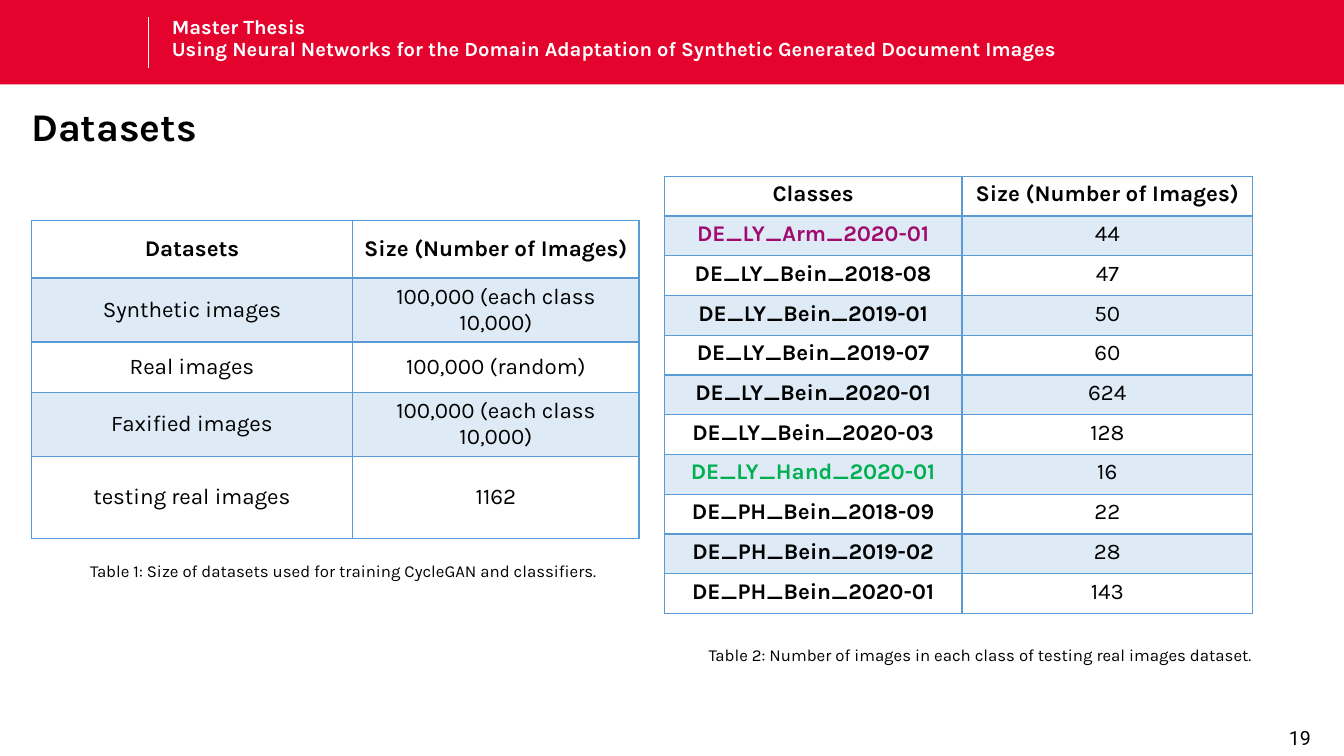
import pptx
import pptx.dml.color
import pptx.enum.shapes
import pptx.enum.text
import pptx.oxml
import pptx.oxml.ns
import pptx.util

Pt = pptx.util.Pt
RGB = pptx.dml.color.RGBColor.from_string
ALIGN = pptx.enum.text.PP_ALIGN
ANCHOR = pptx.enum.text.MSO_ANCHOR
NS = pptx.oxml.ns.nsdecls("a")

COLORS = {
    "red": "E4032D",
    "white": "FFFFFF",
    "black": "000000",
    "blue": "5B9BD5",
    "purple": "A10B70",
    "green": "00B050",
}


def add_run(paragraph, text, size, bold=False, color="black", font="Karla"):
    run = paragraph.add_run()
    run.text = text
    run.font.name = font
    run.font.size = Pt(size)
    run.font.bold = bold
    run.font.color.rgb = RGB(COLORS[color])


def style_cell(cell, row):
    """Draw the blue grid, heavier under the header row, and tint odd rows."""
    properties = cell._tc.get_or_add_tcPr()
    widths = {"L": 1, "R": 1, "T": 2 if row == 1 else 1, "B": 2 if row == 0 else 1}
    for side, width in widths.items():
        properties.append(pptx.oxml.parse_xml(
            f'<a:ln{side} {NS} w="{Pt(width)}"><a:solidFill>'
            f'<a:srgbClr val="{COLORS["blue"]}"/></a:solidFill></a:ln{side}>'))
    if row % 2:
        cell.fill.solid()
        cell.fill.fore_color.rgb = RGB(COLORS["blue"])
        tint = properties.find(".//" + pptx.oxml.ns.qn("a:solidFill") + "[last()]")
        tint = properties.findall(pptx.oxml.ns.qn("a:solidFill"))[0][0]
        tint.append(pptx.oxml.parse_xml(f'<a:alpha {NS} val="20000"/>'))
    else:
        cell.fill.background()


presentation = pptx.Presentation()
presentation.slide_width = Pt(960)
presentation.slide_height = Pt(540)
slide = presentation.slides.add_slide(presentation.slide_layouts[5])
shapes = slide.shapes

# Red header with the thesis title
thesis = shapes.title
banner = shapes.add_shape(pptx.enum.shapes.MSO_SHAPE.RECTANGLE, 0, 0, Pt(960), Pt(60.3))
banner.shadow.inherit = False
banner.fill.solid()
banner.fill.fore_color.rgb = RGB(COLORS["red"])
banner.line.fill.background()
thesis.element.addprevious(banner.element)

divider = shapes.add_connector(
    pptx.enum.shapes.MSO_CONNECTOR.STRAIGHT, Pt(106), Pt(12.2), Pt(106), Pt(48.8))
divider.line.color.rgb = RGB(COLORS["white"])
divider.line.width = Pt(0.5)
divider.element.spPr.append(pptx.oxml.parse_xml(f"<a:effectLst {NS}/>"))

thesis.left, thesis.top, thesis.width, thesis.height = Pt(122.7), Pt(12.2), Pt(822), Pt(36.7)
thesis_frame = thesis.text_frame
thesis_frame.auto_size = pptx.enum.text.MSO_AUTO_SIZE.NONE
thesis_line = thesis_frame.paragraphs[0]
add_run(thesis_line, "Master Thesis", 14.4, True, "white")
thesis_line.add_line_break()
add_run(thesis_line, "Using Neural Networks for the Domain Adaptation of "
        "Synthetic Generated Document Images", 14.4, True, "white")

# Heading and page number
heading_frame = shapes.add_textbox(Pt(22.3), Pt(77), Pt(600), Pt(36.7)).text_frame
add_run(heading_frame.paragraphs[0], "Datasets", 28, True)
page_frame = shapes.add_textbox(Pt(897), Pt(514), Pt(63), Pt(26)).text_frame
add_run(page_frame.paragraphs[0], "19", 14, font="Roboto")

for frame, anchor, align, spacing in (
    (thesis_frame, ANCHOR.TOP, ALIGN.LEFT, 0.9),
    (heading_frame, ANCHOR.TOP, ALIGN.LEFT, 0.9),
    (page_frame, ANCHOR.MIDDLE, ALIGN.CENTER, 1.0),
):
    frame.margin_left = frame.margin_right = frame.margin_top = frame.margin_bottom = 0
    frame.word_wrap = True
    frame.vertical_anchor = anchor
    frame.paragraphs[0].alignment = align
    frame.paragraphs[0].line_spacing = spacing

# Tables
class_sizes = [
    ("Classes", "Size (Number of Images)"),
    ("DE_LY_Arm_2020-01", "44"),
    ("DE_LY_Bein_2018-08", "47"),
    ("DE_LY_Bein_2019-01", "50"),
    ("DE_LY_Bein_2019-07", "60"),
    ("DE_LY_Bein_2020-01", "624"),
    ("DE_LY_Bein_2020-03", "128"),
    ("DE_LY_Hand_2020-01", "16"),
    ("DE_PH_Bein_2018-09", "22"),
    ("DE_PH_Bein_2019-02", "28"),
    ("DE_PH_Bein_2020-01", "143"),
]
dataset_sizes = [
    ("Datasets", "Size (Number of Images)"),
    ("Synthetic images", "100,000 (each class 10,000)"),
    ("Real images", "100,000 (random)"),
    ("Faxified images", "100,000 (each class 10,000)"),
    ("testing real images", "1162"),
]
highlights = {"DE_LY_Arm_2020-01": "purple", "DE_LY_Hand_2020-01": "green"}

for records, left, top, widths, heights, anchor, bold_labels in (
    (class_sizes, 474.5, 126, (212.7, 207.5), [28.4] * 11, ANCHOR.TOP, True),
    (dataset_sizes, 22.3, 157.7, (229.7, 204.5), [41, 44.5, 36, 44.5, 58.5],
     ANCHOR.MIDDLE, False),
):
    table = shapes.add_table(len(records), 2, Pt(left), Pt(top),
                             Pt(sum(widths)), Pt(sum(heights))).table
    table.horz_banding = False
    for column, width in zip(table.columns, widths):
        column.width = Pt(width)
    for row, (record, height) in enumerate(zip(records, heights)):
        table.rows[row].height = Pt(height)
        for column, text in enumerate(record):
            cell = table.cell(row, column)
            style_cell(cell, row)
            cell.vertical_anchor = anchor
            paragraph = cell.text_frame.paragraphs[0]
            paragraph.alignment = ALIGN.CENTER
            bold = row == 0 or (bold_labels and column == 0)
            add_run(paragraph, text, 16, bold, highlights.get(text, "black"))

# Captions
for caption, left, top, width in (
    ("Table 1: Size of datasets used for training CycleGAN and classifiers.", 57.3, 396.7, 390),
    ("Table 2: Number of images in each class of testing real images dataset.", 499, 457.2, 455),
):
    caption_frame = shapes.add_textbox(Pt(left), Pt(top), Pt(width), Pt(21.8)).text_frame
    caption_frame.word_wrap = True
    add_run(caption_frame.paragraphs[0], caption, 12)

presentation.save("out.pptx")
